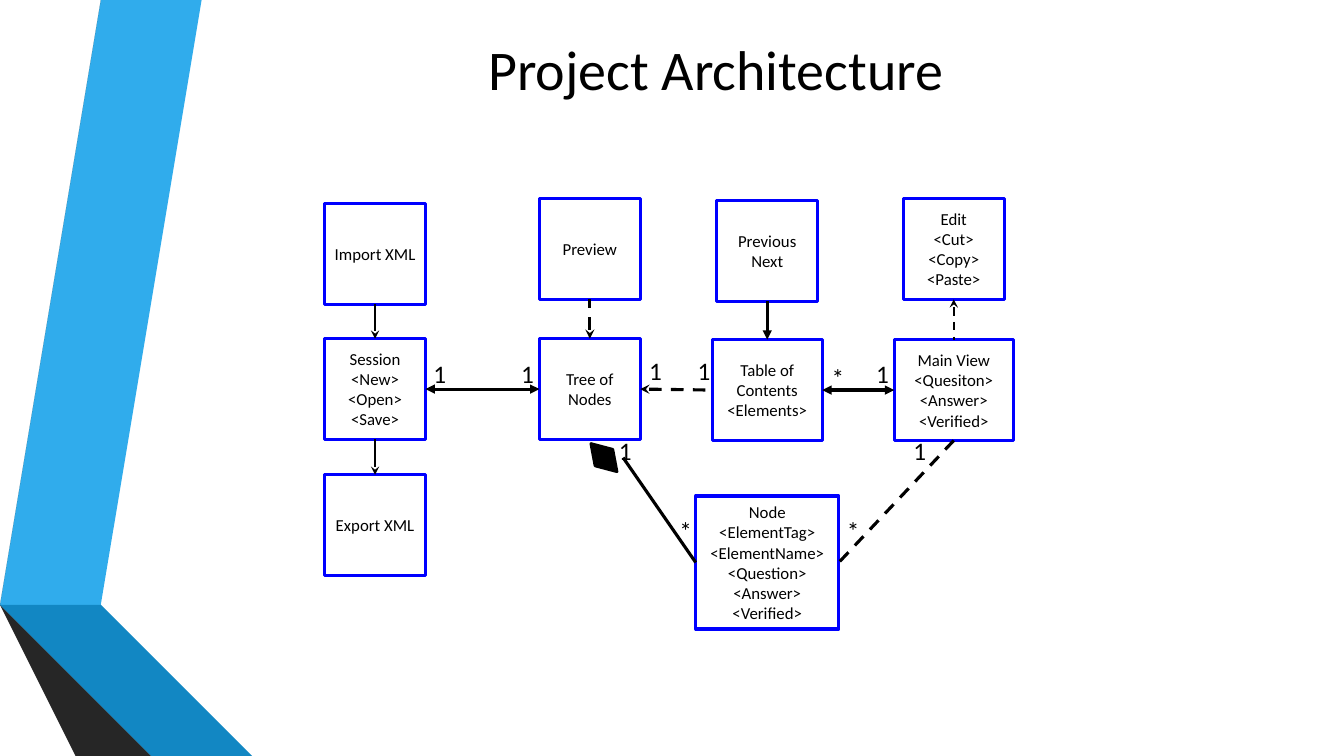
from lxml.etree import SubElement
from pptx import Presentation
from pptx.dml.color import RGBColor
from pptx.enum.dml import MSO_LINE_DASH_STYLE as Dash
from pptx.enum.shapes import MSO_CONNECTOR as Connector, MSO_SHAPE as Shape
from pptx.enum.text import MSO_ANCHOR as Anchor, PP_ALIGN as Align
from pptx.oxml.ns import qn
from pptx.util import Inches, Pt

BLACK = RGBColor(0x00, 0x00, 0x00)
BLUE = RGBColor(0x00, 0x00, 0xFF)
SKY = RGBColor(0x30, 0xAC, 0xEC)
OCEAN = RGBColor(0x12, 0x87, 0xC3)
NAVY = RGBColor(0x0C, 0x5A, 0x82)
GRAY = RGBColor(0x59, 0x59, 0x59)
DARK_GRAY = RGBColor(0x40, 0x40, 0x40)
CHARCOAL = RGBColor(0x26, 0x26, 0x26)
FONT = "Calibri"
WIDTH, HEIGHT = 13.33, 7.5

# Centre lines of the diagram's columns and of its middle row
SESSION, TREE, CONTENTS, VIEW = 3.72, 5.85, 7.61, 9.46
MIDDLE = 3.86
SIDE = 1.0

deck = Presentation()
deck.slide_width, deck.slide_height = Inches(WIDTH), Inches(HEIGHT)
page = deck.slides.add_slide(deck.slide_layouts[6])


def write(shape, text, size, align):
    """Put text into a shape and format every paragraph alike."""
    frame = shape.text_frame
    frame.text = text
    for para in frame.paragraphs:
        para.alignment = align
        for span in para.runs:
            span.font.name, span.font.size = FONT, Pt(size)
            span.font.color.rgb = BLACK
    return frame


def connect(start, start_site, end, end_site, weight, dashed, head, tail):
    """Glue a line to two boxes, with optional arrowheads at its ends."""
    link = page.shapes.add_connector(Connector.STRAIGHT, 0, 0, 0, 0)
    link.begin_connect(start, start_site)
    link.end_connect(end, end_site)
    link.line.color.rgb, link.line.width = BLACK, Pt(weight)
    if dashed:
        link.line.dash_style = Dash.DASH
    outline = link.line._get_or_add_ln()
    for tag, kind in (("a:headEnd", head), ("a:tailEnd", tail)):
        if kind:
            SubElement(outline, qn(tag)).set("type", kind)
    SubElement(link._element.spPr, qn("a:effectLst"))


# Ribbons along the left edge
ribbons = [
    (SKY, [(0.5, 5.78), (0.77, 5.83), (1.73, 0), (1.45, 0)]),
    (GRAY, [(1.39, 0), (1.11, 0), (0.16, 5.73), (0.44, 5.77)]),
    (CHARCOAL, [(0.16, 5.73), (1.45, HEIGHT), (1.51, HEIGHT)]),
    (NAVY, [(0.5, 5.79), (2.08, HEIGHT), (2.14, HEIGHT)]),
    (OCEAN, [(0.5, 5.78), (2.14, HEIGHT), (2.83, HEIGHT), (0.77, 5.83)]),
    (DARK_GRAY, [(2.02, HEIGHT), (0.48, 5.83), (0.44, 5.77), (0.16, 5.73),
                 (1.51, HEIGHT)]),
]
for color, (first, *rest) in ribbons:
    builder = page.shapes.build_freeform(*first, scale=Inches(1))
    builder.add_line_segments(rest, close=True)
    ribbon = builder.convert_to_shape()
    ribbon.shadow.inherit = False
    ribbon.fill.solid()
    ribbon.fill.fore_color.rgb = color
    ribbon.line.fill.background()

title = page.shapes.add_textbox(Inches(1.62), Inches(0.26), Inches(10.96), Inches(0.91))
frame = write(title, "Project Architecture", 40, Align.CENTER)
frame.word_wrap, frame.vertical_anchor = True, Anchor.MIDDLE
frame.paragraphs[0].line_spacing = 0.9

# Boxes: name, centre x, centre y, width, height, text
boxes = {}
for name, x, y, width, height, text in [
    ("session", SESSION, MIDDLE, SIDE, SIDE, "Session\n<New>\n<Open>\n<Save>"),
    ("import", SESSION, 2.52, SIDE, SIDE, "Import XML"),
    ("export", SESSION, 5.21, SIDE, SIDE, "Export XML"),
    ("tree", TREE, MIDDLE, SIDE, SIDE, "Tree of Nodes"),
    ("preview", TREE, 2.47, SIDE, SIDE, "Preview"),
    ("contents", CONTENTS, MIDDLE + 0.01, 1.09, SIDE, "Table of Contents\n<Elements>"),
    ("previous", CONTENTS, 2.49, SIDE, SIDE, "Previous\nNext"),
    ("node", CONTENTS, 5.58, 1.42, 1.32,
     "Node\n<ElementTag>\n<ElementName>\n<Question>\n<Answer>\n<Verified>"),
    ("view", VIEW, MIDDLE + 0.01, 1.18, SIDE,
     "Main View\n<Quesiton>\n<Answer>\n<Verified>"),
    ("edit", VIEW, 2.47, SIDE, SIDE, "Edit\n<Cut>\n<Copy>\n<Paste>"),
]:
    box = page.shapes.add_shape(Shape.RECTANGLE, Inches(x - width / 2),
                                Inches(y - height / 2), Inches(width), Inches(height))
    box.shadow.inherit = False
    box.fill.background()
    box.line.color.rgb, box.line.width = BLUE, Pt(2.25)
    write(box, text, 12, Align.CENTER).vertical_anchor = Anchor.MIDDLE
    boxes[name] = box

# The diamond marks the tree as the owner of its nodes
diamond = page.shapes.add_shape(Shape.FLOWCHART_DECISION, Inches(5.8), Inches(4.42),
                                Inches(0.38), Inches(0.24))
diamond.rotation = 47.1
diamond.shadow.inherit = False
diamond.fill.solid()
diamond.fill.fore_color.rgb = BLACK
diamond.line.color.rgb, diamond.line.width = BLACK, Pt(2)
boxes["diamond"] = diamond

# Links: connection sites run top, left, bottom, right
TOP, LEFT, BOTTOM, RIGHT = range(4)
THIN, THICK = 1.5, 2.25
for start, start_site, end, end_site, weight, dashed, head, tail in [
    ("import", BOTTOM, "session", TOP, THIN, False, None, "stealth"),
    ("session", BOTTOM, "export", TOP, THIN, False, None, "stealth"),
    ("tree", RIGHT, "contents", LEFT, THICK, True, "stealth", None),
    ("session", RIGHT, "tree", LEFT, THICK, False, "triangle", "triangle"),
    ("tree", TOP, "preview", BOTTOM, THICK, True, "stealth", None),
    ("edit", BOTTOM, "view", TOP, THIN, True, "stealth", None),
    ("contents", RIGHT, "view", LEFT, THICK, False, "triangle", "triangle"),
    ("view", BOTTOM, "node", RIGHT, THICK, True, None, None),
    ("previous", BOTTOM, "contents", TOP, THICK, False, None, "triangle"),
    ("node", LEFT, "diamond", RIGHT, THICK, False, None, None),
]:
    connect(boxes[start], start_site, boxes[end], end_site, weight, dashed, head, tail)

# Multiplicities at the ends of the links
for mark, left, top in [
    ("1", 4.2, 3.51), ("1", 5.07, 3.51), ("1", 6.34, 3.48), ("1", 6.82, 3.48),
    ("*", 8.15, 3.55), ("1", 8.59, 3.51), ("1", 6.04, 4.27), ("1", 8.96, 4.27),
    ("*", 6.64, 5.06), ("*", 8.3, 5.06),
]:
    label = page.shapes.add_textbox(Inches(left), Inches(top), Inches(0.32), Inches(0.4))
    write(label, mark, 18, Align.LEFT).word_wrap = False

deck.save("out.pptx")
